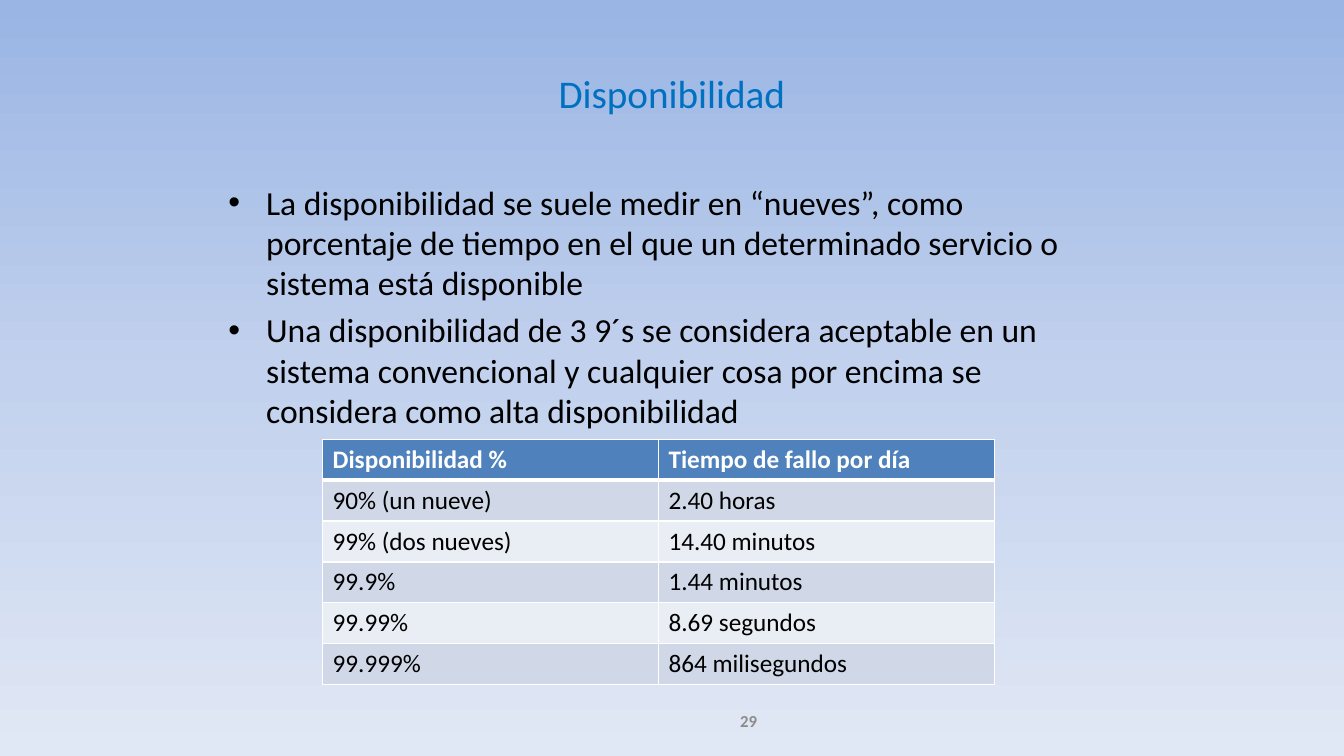
from copy import deepcopy
from dataclasses import dataclass

from pptx import Presentation
from pptx.dml.color import RGBColor
from pptx.enum import text
from pptx.oxml import parse_xml
from pptx.oxml.ns import nsdecls, qn
from pptx.util import Cm, Pt

TITLE = "Disponibilidad"
POINTS = [
    "La disponibilidad se suele medir en “nueves”, como porcentaje de tiempo "
    "en el que un determinado servicio o sistema está disponible",
    "Una disponibilidad de 3 9´s se considera aceptable en un sistema "
    "convencional y cualquier cosa por encima se considera como alta disponibilidad",
]
DOWNTIME = [
    ("Disponibilidad %", "Tiempo de fallo por día"),
    ("90% (un nueve)", "2.40 horas"),
    ("99% (dos nueves)", "14.40 minutos"),
    ("99.9%", "1.44 minutos"),
    ("99.99%", "8.69 segundos"),
    ("99.999%", "864 milisegundos"),
]
PAGE_NUMBER = "29"


@dataclass(frozen=True)
class Theme:
    font: str = "Calibri"
    title: str = "0070C0"
    ink: str = "000000"
    muted: str = "8C8C8C"
    white: str = "FFFFFF"
    header: str = "4F81BD"
    bands: tuple = ("D0D8E8", "E9EDF4")
    sky: tuple = ("9AB5E4", "C2D1ED", "E1E8F5")
    title_size: int = 28
    body_size: int = 24
    table_size: int = 18
    number_size: int = 12


theme = Theme()


def add_span(para, words, size, color, bold=False):
    span = para.add_run()
    span.text = words
    span.font.name = theme.font
    span.font.size = Pt(size)
    span.font.bold = bold
    span.font.color.rgb = RGBColor.from_string(color)


def place(box, left, top, width, height):
    box.left, box.top, box.width, box.height = Cm(left), Cm(top), Cm(width), Cm(height)


def paint_background(page):
    fill = page.background.fill
    fill.gradient()
    fill.gradient_angle = 270
    stop_list = page._element.find(".//" + qn("a:gsLst"))
    stop_list.insert(1, deepcopy(stop_list[0]))
    for index, (stop, color) in enumerate(zip(fill.gradient_stops, theme.sky)):
        stop.position = index / (len(theme.sky) - 1)
        stop.color.rgb = RGBColor.from_string(color)


def border_cell(cell, widths):
    properties = cell._tc.get_or_add_tcPr()
    for side, width in widths.items():
        properties.append(parse_xml(
            f'<a:{side} {nsdecls("a")} w="{Pt(width)}"><a:solidFill>'
            f'<a:srgbClr val="{theme.white}"/></a:solidFill></a:{side}>'
        ))


def add_downtime_table(page):
    row_height = 1.03
    frame = page.shapes.add_table(
        len(DOWNTIME), len(DOWNTIME[0]),
        Cm(8.13), Cm(11.07), Cm(16.93), Cm(row_height * len(DOWNTIME)),
    )
    for row_index, values in enumerate(DOWNTIME):
        is_header = row_index == 0
        fill = theme.header if is_header else theme.bands[(row_index - 1) % 2]
        ink = theme.white if is_header else theme.ink
        top = 3 if row_index == 1 else 1
        bottom = 3 if is_header else 1
        for column_index, words in enumerate(values):
            cell = frame.table.cell(row_index, column_index)
            border_cell(cell, {"lnL": 1, "lnR": 1, "lnT": top, "lnB": bottom})
            cell.fill.solid()
            cell.fill.fore_color.rgb = RGBColor.from_string(fill)
            add_span(cell.text_frame.paragraphs[0], words, theme.table_size, ink, is_header)


def main():
    deck = Presentation()
    deck.slide_width, deck.slide_height = Cm(33.87), Cm(19.05)
    page = deck.slides.add_slide(deck.slide_layouts[1])
    paint_background(page)

    title = page.shapes.title
    place(title, 1.69, 0.76, 30.48, 3.18)
    title.text_frame.vertical_anchor = text.MSO_ANCHOR.MIDDLE
    heading = title.text_frame.paragraphs[0]
    heading.alignment = text.PP_ALIGN.CENTER
    add_span(heading, TITLE, theme.title_size, theme.title)

    body = page.placeholders[1]
    place(body, 5.5, 4.45, 22.86, 13.2)
    frame = body.text_frame
    frame.auto_size = text.MSO_AUTO_SIZE.NONE
    for index, point in enumerate(POINTS):
        para = frame.add_paragraph() if index else frame.paragraphs[0]
        add_span(para, point, theme.body_size, theme.ink)

    number = page.shapes.add_textbox(Cm(11.43), Cm(17.65), Cm(7.9), Cm(1.02))
    number.text_frame.word_wrap = True
    number.text_frame.vertical_anchor = text.MSO_ANCHOR.MIDDLE
    para = number.text_frame.paragraphs[0]
    para.alignment = text.PP_ALIGN.RIGHT
    add_span(para, PAGE_NUMBER, theme.number_size, theme.muted, True)

    add_downtime_table(page)
    deck.save("out.pptx")


if __name__ == "__main__":
    main()
